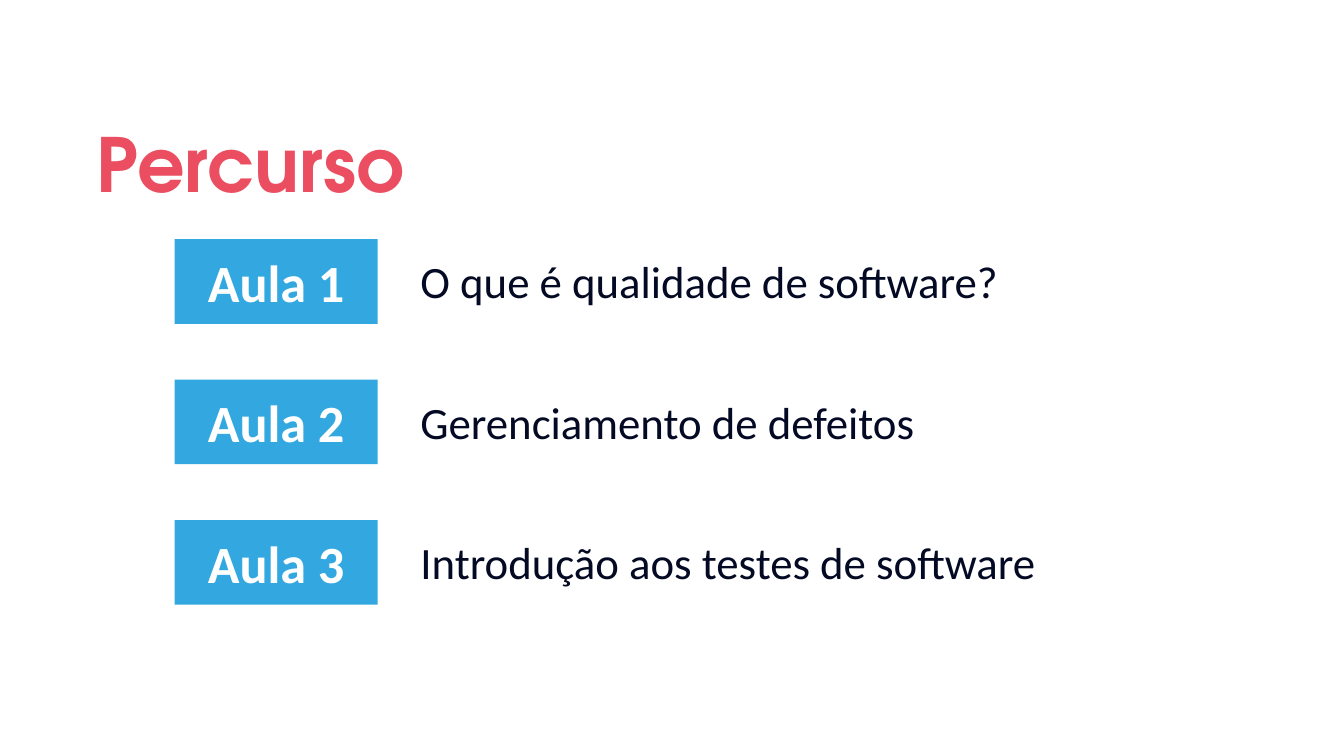
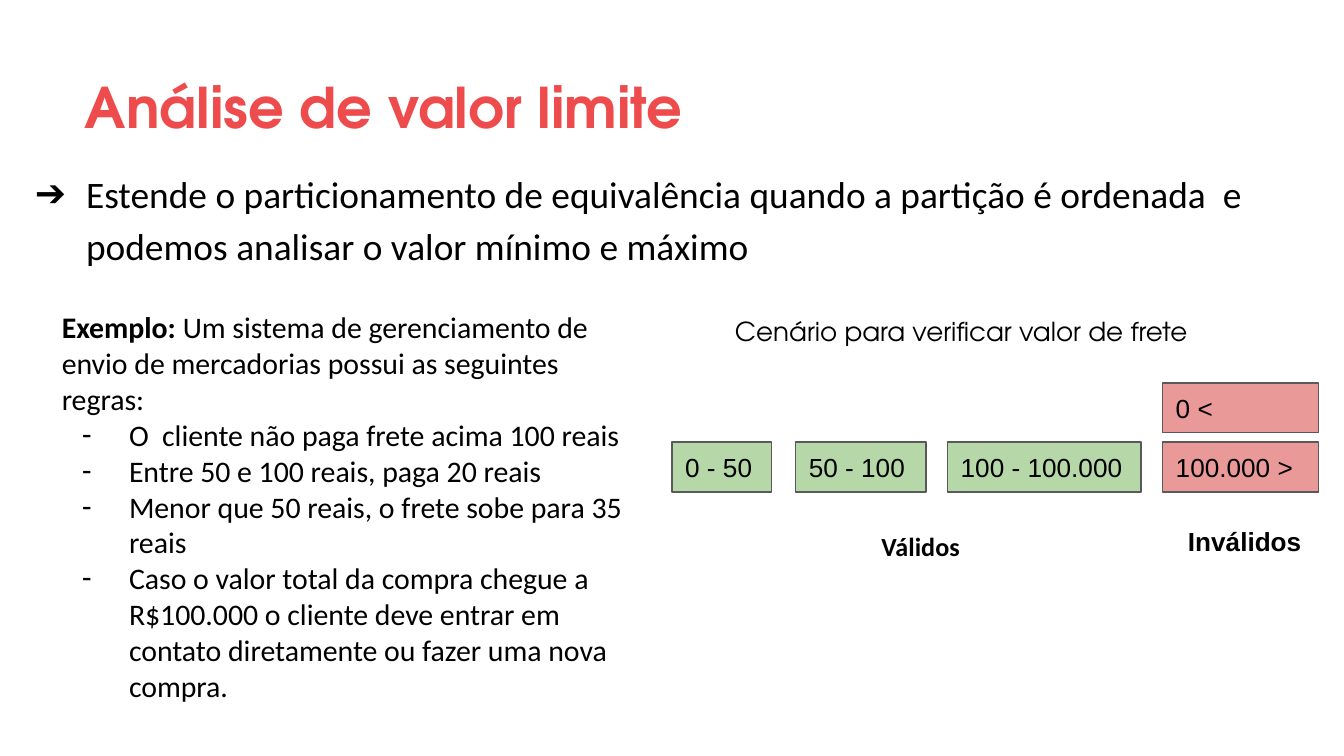
from lxml import etree
from pptx import Presentation
from pptx import util as u
from pptx.dml.color import RGBColor
from pptx.enum import shapes, text
from pptx.oxml import ns

WIDTH = 10
HEIGHT = WIDTH * 9 / 16
TITLE_FONT, BODY_FONT, LABEL_FONT = "TeX Gyre Adventor", "Calibri", "Arial"
BLACK, WHITE, NAVY, BLUE = "000000", "FFFFFF", "040A24", "33A8E0"
GREEN, RED, GREY = "B6D7A8", "EA9999", "595959"
TITLE_ONLY, TWO_CONTENT = 5, 3

LESSONS = [
    ("Aula 1", "O que é qualidade de software?"),
    ("Aula 2", "Gerenciamento de defeitos"),
    ("Aula 3", "Introdução aos testes de software"),
]
DEFINITION = ("Estende o particionamento de equivalência quando a partição é ordenada  e "
              "podemos analisar o valor mínimo e máximo")
EXAMPLE = ("Exemplo: ",
           "Um sistema de gerenciamento de envio de mercadorias possui as seguintes regras:")
RULES = [
    "O  cliente não paga frete acima 100 reais",
    "Entre 50 e 100 reais, paga 20 reais",
    "Menor que 50 reais, o frete sobe para 35 reais",
    "Caso o valor total da compra chegue a R$100.000 o cliente deve entrar em contato "
    "diretamente ou fazer uma nova compra.",
]
RANGE_ROWS = (2.85, 3.29)
RANGES = [  # label, left, width, row, fill
    ("0 - 50", 5, 0.74, 1, GREEN),
    ("50 - 100", 5.92, 0.97, 1, GREEN),
    ("100 - 100.000", 7.05, 1.44, 1, GREEN),
    ("100.000 >", 8.65, 1.16, 1, RED),
    ("0 <", 8.65, 1.16, 0, RED),
]
CAPTIONS = [  # text, box, font, bold
    ("Cenário para verificar valor de frete", (5.37, 2.25, 3.81, 0.44), TITLE_FONT, False),
    ("Válidos", (6.46, 3.85, 0.89, 0.44), BODY_FONT, True),
    ("Inválidos", (8.74, 3.81, 1.11, 0.44), LABEL_FONT, True),
]


def color(hex_string):
    return RGBColor.from_string(hex_string)


def place(shape, box):
    shape.left, shape.top, shape.width, shape.height = map(u.Inches, box)


def prepare_frame(shape, anchor=text.MSO_ANCHOR.MIDDLE, inset=0.1):
    frame = shape.text_frame
    frame.word_wrap = True
    frame.auto_size = text.MSO_AUTO_SIZE.NONE
    frame.vertical_anchor = anchor
    frame.margin_left = frame.margin_right = u.Inches(0.1)
    frame.margin_top = frame.margin_bottom = u.Inches(inset)
    return frame


def add_run(paragraph, content, size, font=BODY_FONT, ink=BLACK, bold=False):
    run = paragraph.add_run()
    run.text = content
    run.font.size, run.font.name, run.font.bold = u.Pt(size), font, bold
    run.font.color.rgb = color(ink)


def format_paragraph(paragraph, bullet=None, hang=0, spacing=1.0):
    """Left-align with the given bullet, or with none and no indent."""
    properties = paragraph._p.get_or_add_pPr()
    properties.set("marL", str(u.Inches(0.5 if bullet else 0)))
    properties.set("indent", str(-u.Inches(hang)))
    if bullet:
        bullet_color = etree.SubElement(properties, ns.qn("a:buClr"))
        etree.SubElement(bullet_color, ns.qn("a:srgbClr"), val=BLACK)
        etree.SubElement(properties, ns.qn("a:buChar"), char=bullet)
    else:
        etree.SubElement(properties, ns.qn("a:buNone"))
    paragraph.alignment = text.PP_ALIGN.LEFT
    paragraph.line_spacing = spacing
    paragraph.space_before = u.Pt(0)


def add_slide(presentation, layout, title, box, size, ink):
    slide = presentation.slides.add_slide(presentation.slide_layouts[layout])
    place(slide.shapes.title, box)
    paragraph = prepare_frame(slide.shapes.title).paragraphs[0]
    format_paragraph(paragraph, spacing=1.15)
    add_run(paragraph, title, size, TITLE_FONT, ink, True)
    return slide


def add_text(slide, content, box, inset=0.1, **style):
    shape = slide.shapes.add_textbox(*map(u.Inches, box))
    frame = prepare_frame(shape, text.MSO_ANCHOR.TOP, inset)
    add_run(frame.paragraphs[0], content, **style)


def add_box(slide, content, box, fill, align=text.PP_ALIGN.LEFT, outline=None, **style):
    shape = slide.shapes.add_shape(shapes.MSO_SHAPE.RECTANGLE, *map(u.Inches, box))
    shape.shadow.inherit = False
    shape.fill.solid()
    shape.fill.fore_color.rgb = color(fill)
    if outline:
        shape.line.color.rgb = color(outline)
        shape.line.width = u.Pt(0.75)
    else:
        shape.line.fill.background()
    paragraph = prepare_frame(shape).paragraphs[0]
    paragraph.alignment = align
    add_run(paragraph, content, **style)


def build_path_slide(presentation):
    slide = add_slide(presentation, TITLE_ONLY, "Percurso", (0.62, 0.7, 8.1, 0.92), 40, "EA4E60")
    first_top, last_top = 1.78, 3.87
    pitch = (last_top - first_top) / (len(LESSONS) - 1)
    for row, (lesson, topic) in enumerate(LESSONS):
        top = first_top + row * pitch
        add_box(slide, lesson, (1.3, top, 1.51, 0.63), BLUE, text.PP_ALIGN.CENTER,
                size=28, ink=WHITE, bold=True)
        add_text(slide, topic, (3.03, top + 0.06, 6.02, 0.5), inset=0.05, size=24, ink=NAVY)


def build_limit_slide(presentation):
    slide = add_slide(presentation, TWO_CONTENT, "Análise de valor limite",
                      (0.53, 0.29, 9.06, 0.92), 30, "EE4C4C")
    definition, example = slide.placeholders[1], slide.placeholders[2]

    place(definition, (0.04, 1.12, 9.35, 0.98))
    paragraph = prepare_frame(definition).paragraphs[0]
    format_paragraph(paragraph, "➔", 0.38, 1.15)
    add_run(paragraph, DEFINITION, 20)

    place(example, (0.36, 2.18, 4.46, 3.7))
    frame = prepare_frame(example, text.MSO_ANCHOR.TOP, inset=0.12)
    paragraph = frame.paragraphs[0]
    format_paragraph(paragraph)
    for content, bold in zip(EXAMPLE, (True, False)):
        add_run(paragraph, content, 16, bold=bold)
    for rule in RULES:
        paragraph = frame.add_paragraph()
        format_paragraph(paragraph, "-", 0.35)
        add_run(paragraph, rule, 16)

    for content, box, font, bold in CAPTIONS:
        add_text(slide, content, box, size=14, font=font, bold=bold)
    for label, left, width, row, fill in RANGES:
        add_box(slide, label, (left, RANGE_ROWS[row], width, 0.37), fill,
                outline=GREY, size=14, font=LABEL_FONT)


def main():
    presentation = Presentation()
    presentation.slide_width, presentation.slide_height = u.Inches(WIDTH), u.Inches(HEIGHT)
    build_path_slide(presentation)
    build_limit_slide(presentation)
    presentation.save("out.pptx")


if __name__ == "__main__":
    main()
